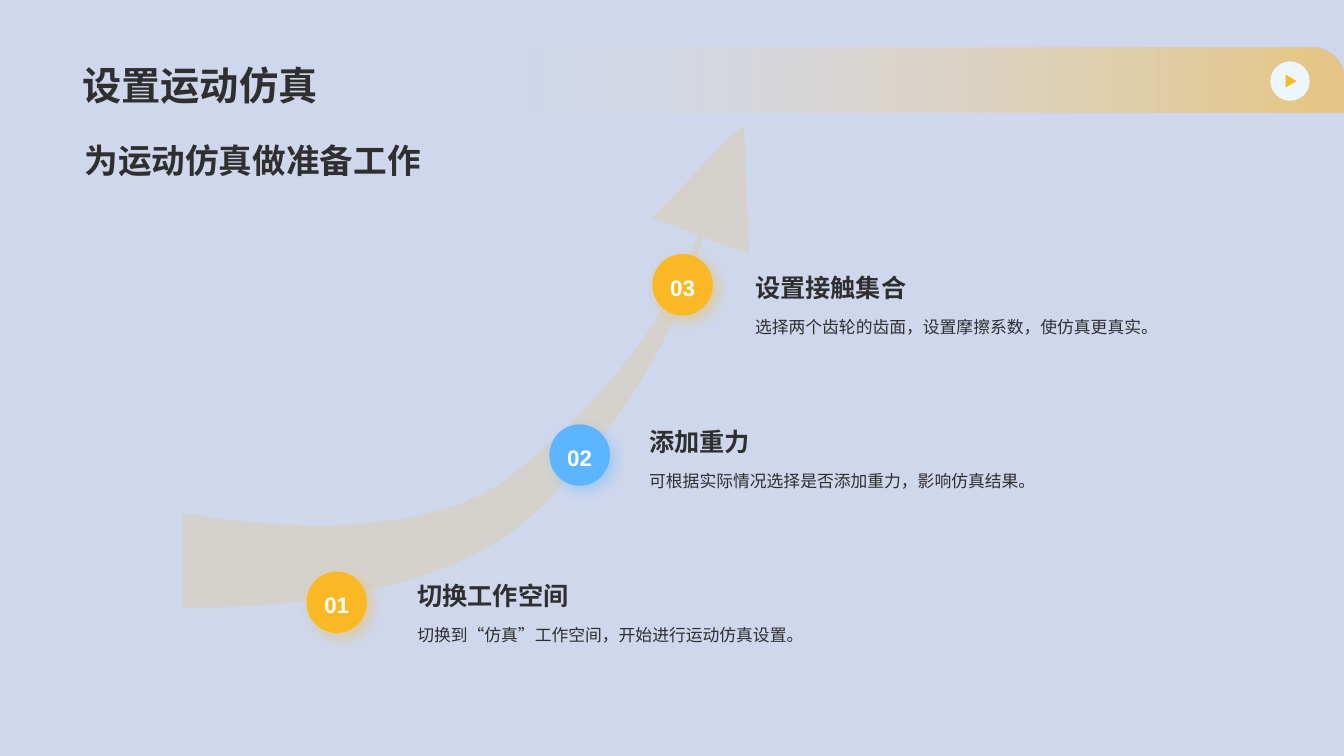
"""Build the slide on preparing a motion simulation, with three steps along a rising arrow."""
from lxml import etree
from pptx import Presentation
from pptx import util as u
from pptx.dml.color import RGBColor
from pptx.enum import lang, shapes, text
from pptx.oxml.ns import qn

COLORS = {
    "background": "CFD7EC",
    "ink": "2F2F2F",
    "white": "FFFFFF",
    "amber": "FBB825",
    "cream": "FDE3A8",
    "blue": "5DB5FF",
    "button": "EDF6FD",
}

deck = Presentation()
deck.slide_width = u.Inches(13.33)
deck.slide_height = u.Inches(7.5)
page = deck.slides.add_slide(deck.slide_layouts[6])
page.background.fill.solid()
page.background.fill.fore_color.rgb = RGBColor.from_string(COLORS["background"])


def write(box, words, size, color="ink", bold=False, anchor="TOP", align="LEFT",
          spacing=None, wrap=True):
    """Put one formatted paragraph into a box."""
    frame = box.text_frame
    frame.word_wrap = wrap
    frame.vertical_anchor = text.MSO_ANCHOR[anchor]
    para = frame.paragraphs[0]
    para.alignment = text.PP_ALIGN[align]
    if spacing:
        para.line_spacing = spacing
    span = para.add_run()
    span.text = words
    span.font.name = "Arial"
    span.font.size = u.Pt(size)
    span.font.bold = bold
    span.font.color.rgb = RGBColor.from_string(COLORS[color])
    span.font.language_id = lang.MSO_LANGUAGE_ID.SIMPLIFIED_CHINESE


def paint(shape, color, alpha=None):
    """Give a shape a plain fill without line or shadow."""
    shape.shadow.inherit = False
    shape.line.fill.background()
    shape.fill.solid()
    shape.fill.fore_color.rgb = RGBColor.from_string(COLORS[color])
    if alpha:
        tint = shape.fill._xPr.find(".//" + qn("a:srgbClr"))
        etree.SubElement(tint, qn("a:alpha"), val=str(alpha * 1000))


band = page.shapes.add_shape(shapes.MSO_SHAPE.ROUND_2_DIAG_RECTANGLE,
                             u.Inches(5.1), u.Inches(0.47), u.Inches(8.23), u.Inches(0.65))
band.adjustments[0] = 0
band.adjustments[1] = 0.5
paint(band, "amber")
band.fill.gradient()
band.fill.gradient_angle = 0
for stop, (position, color, alpha) in zip(band.fill.gradient_stops,
                                          [(0, "cream", 0), (0.96, "amber", 50)]):
    stop.position = position
    stop.color.rgb = RGBColor.from_string(COLORS[color])
    tint = stop._gs.find(qn("a:srgbClr"))
    etree.SubElement(tint, qn("a:alpha"), val=str(alpha * 1000))

button = page.shapes.add_shape(shapes.MSO_SHAPE.OVAL,
                               u.Inches(12.6), u.Inches(0.61), u.Inches(0.39), u.Inches(0.39))
paint(button, "button")
play = page.shapes.add_shape(shapes.MSO_SHAPE.ISOSCELES_TRIANGLE,
                             u.Inches(12.74), u.Inches(0.75), u.Inches(0.13), u.Inches(0.11))
play.rotation = 90
paint(play, "amber")

title = page.shapes.add_textbox(u.Inches(0.72), u.Inches(0.14), u.Inches(11.88), u.Inches(0.98))
write(title, "设置运动仿真", 28, bold=True, anchor="BOTTOM")
subtitle = page.shapes.add_textbox(u.Inches(0.74), u.Inches(1.34), u.Inches(5.6), u.Inches(1.26))
write(subtitle, "为运动仿真做准备工作", 24, bold=True)

upper_edge = [
    [(1.81, 5.09), (2.4, 5.18), (2.96, 5.24), (3.51, 5.2)],
    [(3.51, 5.2), (4.05, 5.16), (4.6, 5.06), (5.03, 4.75)],
    [(5.03, 4.75), (5.8, 4.14), (6.58, 3.3), (6.92, 2.35)],
]
arrow_head = [(6.92, 2.33), (6.47, 2.16), (7.24, 1.36), (7.38, 1.24), (7.43, 2.52)]
lower_edge = [
    [(6.97, 2.35), (6.78, 3.1), (6.4, 3.8), (5.91, 4.41)],
    [(5.91, 4.41), (5.61, 4.78), (5.3, 5.16), (4.9, 5.39)],
    [(4.9, 5.39), (4.5, 5.63), (4.05, 5.78), (3.59, 5.87)],
    [(3.59, 5.87), (3, 5.99), (2.4, 6.03), (1.81, 6.03)],
]
STEPS_PER_CURVE = 16
edges = []
for curves in (upper_edge, lower_edge):
    points = []
    for curve in curves:
        for step in range(STEPS_PER_CURVE + 1):
            t = step / STEPS_PER_CURVE
            weights = [(1 - t) ** 3, 3 * t * (1 - t) ** 2, 3 * t ** 2 * (1 - t), t ** 3]
            points.append([sum(w * point[axis] for w, point in zip(weights, curve))
                           for axis in (0, 1)])
    edges.append(points)
outline = [(u.Inches(x), u.Inches(y)) for x, y in edges[0] + arrow_head + edges[1]]
builder = page.shapes.build_freeform(*outline[0])
builder.add_line_segments(outline[1:], close=True)
paint(builder.convert_to_shape(), "amber", alpha=15)

stages = [
    ("01", "amber", 3.04, 5.67, 4.04, 5.55, "切换工作空间",
     "切换到“仿真”工作空间，开始进行运动仿真设置。"),
    ("02", "blue", 5.45, 4.21, 6.34, 4.02, "添加重力",
     "可根据实际情况选择是否添加重力，影响仿真结果。"),
    ("03", "amber", 6.47, 2.52, 7.39, 2.49, "设置接触集合",
     "选择两个齿轮的齿面，设置摩擦系数，使仿真更真实。"),
]
for number, color, badge_left, badge_top, left, top, heading, detail in stages:
    badge = page.shapes.add_shape(shapes.MSO_SHAPE.OVAL, u.Inches(badge_left),
                                  u.Inches(badge_top), u.Inches(0.6), u.Inches(0.61))
    paint(badge, color)
    effects = badge._element.spPr.find(qn("a:effectLst"))
    shadow = etree.SubElement(effects, qn("a:outerShdw"), blurRad=str(u.Pt(10)),
                              dist=str(u.Pt(5)), dir=str(45 * 60000), algn="tl", rotWithShape="0")
    glow = etree.SubElement(shadow, qn("a:srgbClr"), val=COLORS[color])
    etree.SubElement(glow, qn("a:alpha"), val="40000")
    write(badge, number, 16, color="white", bold=True, anchor="MIDDLE", align="CENTER",
          spacing=1.2, wrap=False)

    detail_box = page.shapes.add_textbox(u.Inches(left), u.Inches(top + 0.56),
                                         u.Inches(5.21), u.Inches(0.59))
    write(detail_box, detail, 12, spacing=1.2)
    heading_box = page.shapes.add_textbox(u.Inches(left), u.Inches(top),
                                          u.Inches(5.21), u.Inches(0.56))
    write(heading_box, heading, 18, bold=True, anchor="BOTTOM")

deck.save("out.pptx")
